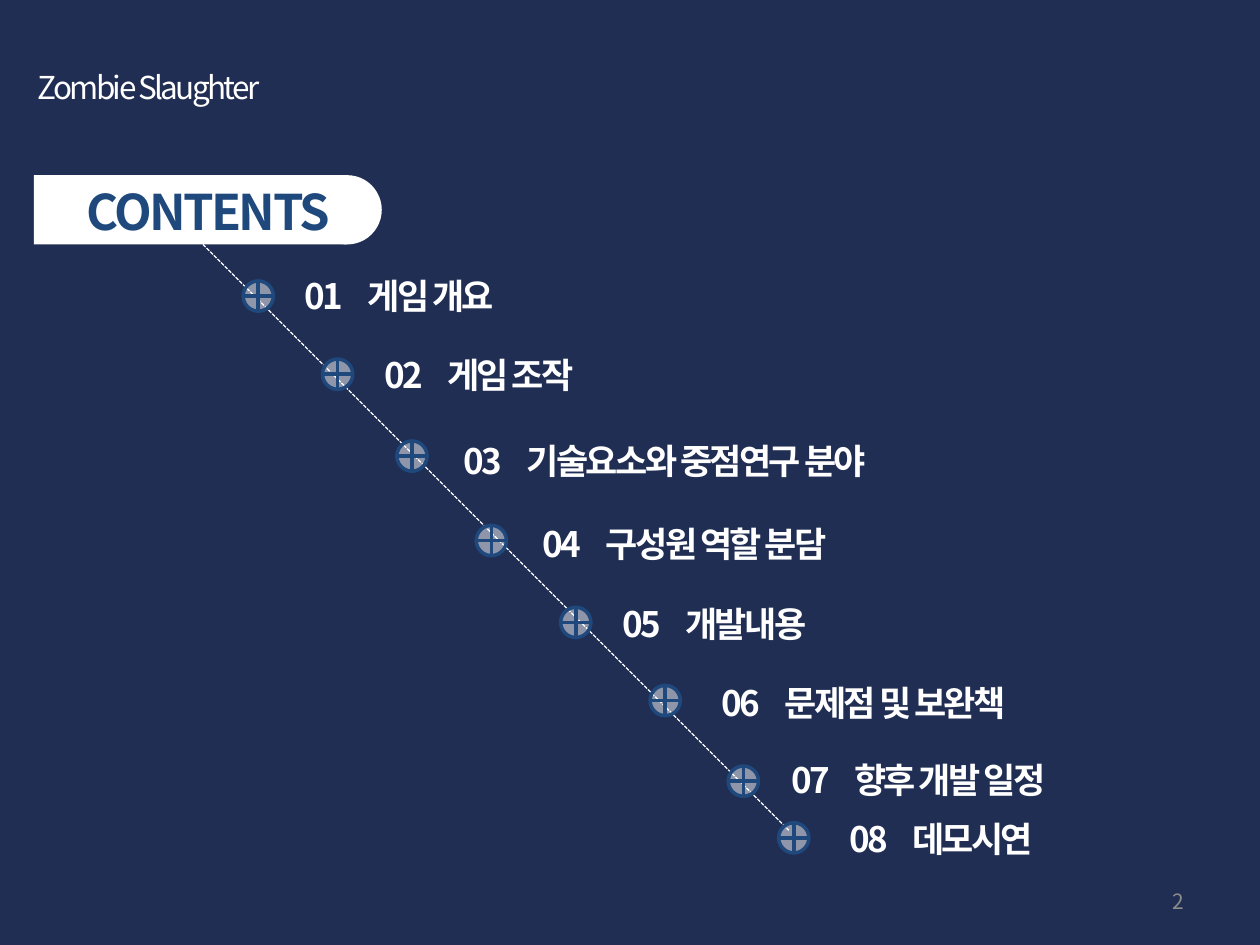
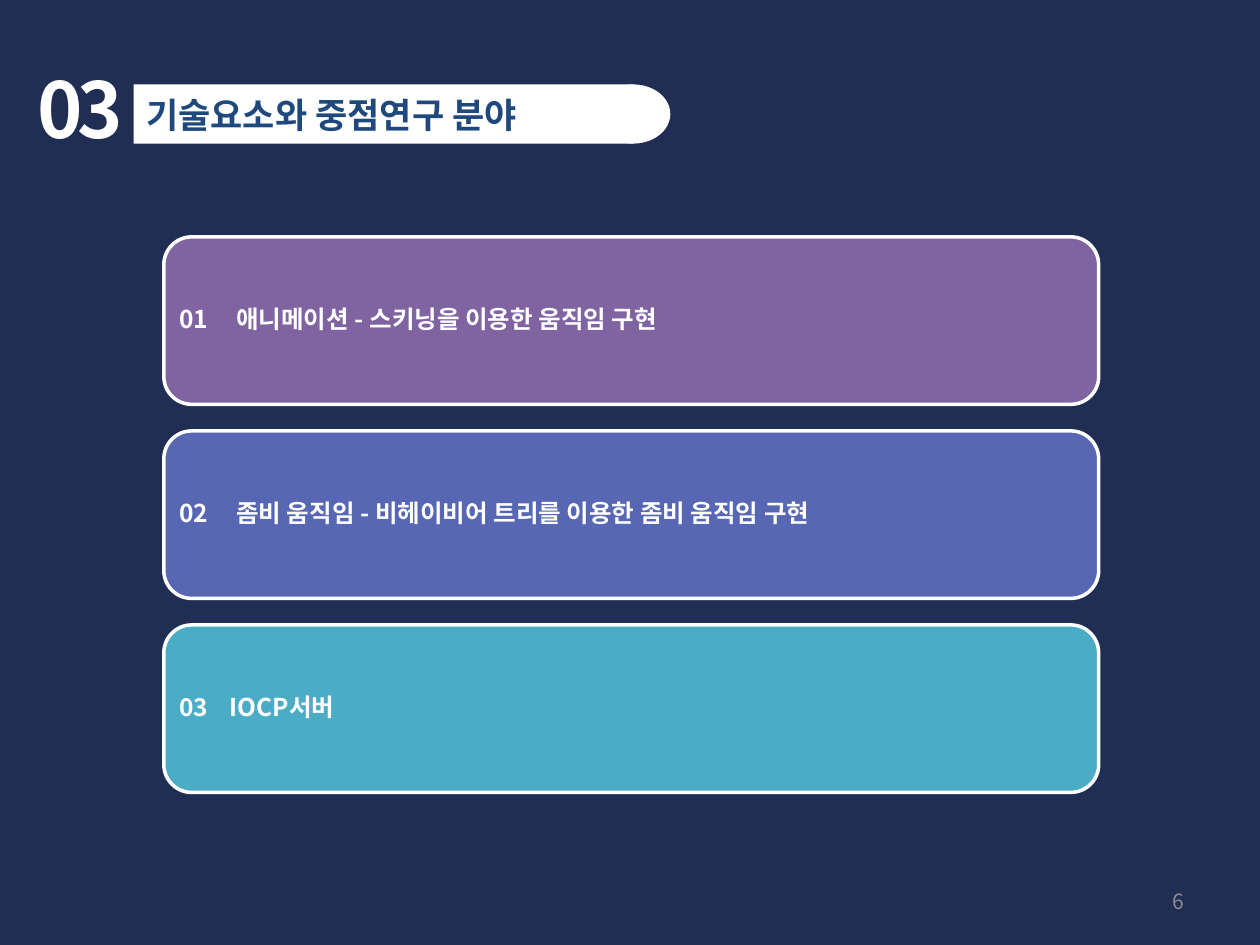
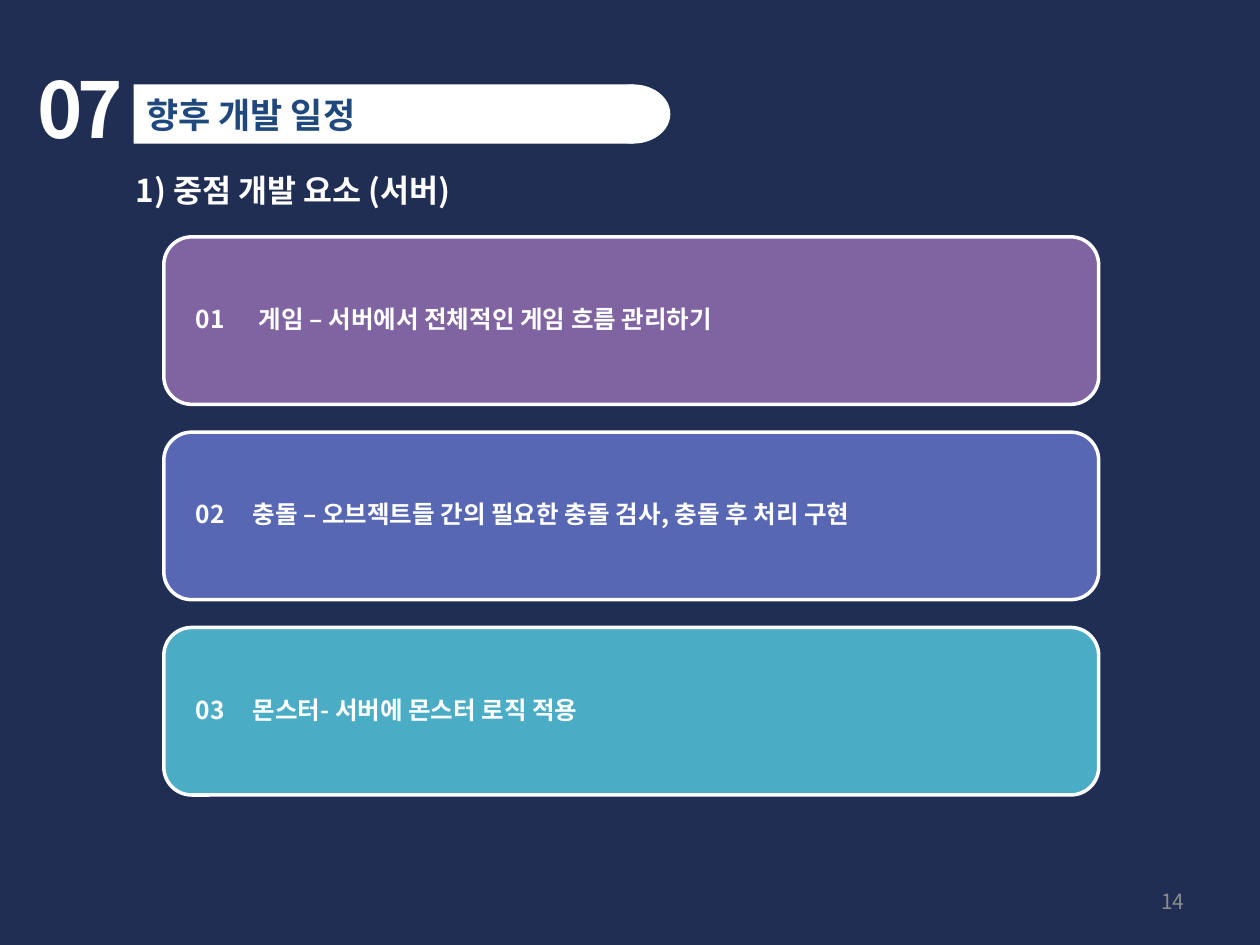
from lxml.etree import SubElement
from pptx import Presentation
from pptx.dml.color import RGBColor
from pptx.enum.dml import MSO_LINE
from pptx.enum.shapes import MSO_CONNECTOR, MSO_SHAPE
from pptx.enum.text import MSO_ANCHOR, MSO_AUTO_SIZE, PP_ALIGN
from pptx.oxml.ns import qn
from pptx.util import Inches, Pt

FONT = "Noto Sans CJK KR"
NAVY, BLUE, WHITE, GREY = "212E53", "1F497D", "FFFFFF", "8C8C8C"
CARD_COLORS = ("8064A2", "5767B4", "4BACC6")
TITLE_ONLY = 5
CARD_AREA = (1.3, 1.88, 7.42, 1.33)

# label, marker left and top, label left and top
CONTENTS = [
    ("게임 개요", (1.93, 2.23), (2.32, 2.13)),
    ("게임 조작", (2.56, 2.85), (2.95, 2.76)),
    ("기술요소와 중점연구 분야", (3.15, 3.5), (3.58, 3.44)),
    ("구성원 역할 분담", (3.78, 4.17), (4.21, 4.1)),
    ("개발내용", (4.45, 4.82), (4.84, 4.73)),
    ("문제점 및 보완책", (5.16, 5.44), (5.63, 5.36)),
    ("향후 개발 일정", (5.78, 6.08), (6.18, 5.97)),
    ("데모시연", (6.18, 6.53), (6.64, 6.44)),
]


def rgb(color):
    """Turn a hex string into a colour."""
    return RGBColor.from_string(color)


def inches(box):
    """Turn plain numbers into lengths."""
    return [Inches(number) for number in box]


def write(shape, text, size=20, color=WHITE, bold=True, spacing=0,
          align=PP_ALIGN.LEFT, anchor=MSO_ANCHOR.TOP, wrap=True,
          insets=(0.1, 0.05), indent=0, hanging=0, line_spacing=None,
          space_after=None):
    """Put one formatted paragraph into a shape; a tab reaches the hanging indent."""
    frame = shape.text_frame
    frame.auto_size = MSO_AUTO_SIZE.NONE
    frame.word_wrap = wrap
    frame.vertical_anchor = anchor
    frame.margin_left = frame.margin_right = Inches(insets[0])
    frame.margin_top = frame.margin_bottom = Inches(insets[1])
    paragraph = frame.paragraphs[0]
    paragraph.alignment = align
    paragraph.line_spacing = line_spacing
    paragraph.space_after = space_after
    if indent or hanging:
        properties = paragraph._p.get_or_add_pPr()
        properties.set("marL", str(Inches(indent + hanging)))
        properties.set("indent", str(-Inches(hanging)))
    run = paragraph.add_run()
    run.text = text
    run.font.name = FONT
    run.font.size = Pt(size)
    run.font.bold = bold
    run.font.color.rgb = rgb(color)
    characters = run._r.get_or_add_rPr()
    SubElement(characters, qn("a:ea"), typeface=FONT)
    if spacing:
        characters.set("spc", str(round(spacing * 100)))


def add_text(slide, box, text, **formats):
    """Add a text box."""
    write(slide.shapes.add_textbox(*inches(box)), text, **formats)


def add_block(shapes, preset, box, fill, line=None):
    """Add a flat preset shape with an optional 2 pt outline."""
    block = shapes.add_shape(preset, *inches(box))
    block.shadow.inherit = False
    block.fill.solid()
    block.fill.fore_color.rgb = rgb(fill)
    if line:
        block.line.color.rgb = rgb(line)
        block.line.width = Pt(2)
    else:
        block.line.fill.background()
    return block


def add_title(slide, box, cap_width, title_box, text, **formats):
    """Draw the white bar with a round right end and lay the title on it."""
    left, top, width, height = box
    bar = slide.shapes.add_group_shape().shapes
    add_block(bar, MSO_SHAPE.RECTANGLE,
              (left, top, width - cap_width / 2, height), WHITE)
    add_block(bar, MSO_SHAPE.OVAL,
              (left + width - cap_width, top, cap_width, height), WHITE)
    title = slide.shapes.title
    title.left, title.top, title.width, title.height = inches(title_box)
    write(title, text, color=BLUE, **formats)
    slide.shapes._spTree.append(title._element)


def add_page_number(slide, number):
    """Write the page number at the bottom right."""
    add_text(slide, (7.17, 6.95, 2.33, 0.4), str(number), size=12, color=GREY,
             bold=False, align=PP_ALIGN.RIGHT, anchor=MSO_ANCHOR.MIDDLE)


def add_marker(slide, left, top):
    """Draw a half-transparent crossed circle."""
    marker = add_block(slide.shapes, MSO_SHAPE.FLOWCHART_OR,
                       (left, top, 0.24, 0.24), WHITE, BLUE)
    fill_color = marker._element.spPr.find(qn("a:solidFill"))[0]
    SubElement(fill_color, qn("a:alpha"), val="50000")


def add_trail(slide, start, end):
    """Draw the dashed diagonal that links the markers."""
    trail = slide.shapes.add_connector(MSO_CONNECTOR.STRAIGHT,
                                       *inches(start + end))
    trail.line.color.rgb = rgb(WHITE)
    trail.line.width = Pt(0.75)
    trail.line.dash_style = MSO_LINE.SQUARE_DOT
    SubElement(trail._element.spPr, qn("a:effectLst"))


def add_cards(slide, box, pitch, entries, indent=0):
    """Stack numbered cards downward; box is the first card."""
    left, top, width, height = box
    for index, ((label, hanging), color) in enumerate(zip(entries, CARD_COLORS)):
        card = add_block(slide.shapes, MSO_SHAPE.ROUNDED_RECTANGLE,
                         (left, top + index * pitch, width, height), color, WHITE)
        write(card, f"{index + 1:02}\t{label}", size=14, insets=(0.06, 0.06),
              anchor=MSO_ANCHOR.MIDDLE, indent=indent, hanging=hanging,
              line_spacing=0.9, space_after=Pt(5))


def contents_slide(deck, page):
    """Build the contents slide."""
    slide = deck.slides.add_slide(deck.slide_layouts[TITLE_ONLY])
    add_text(slide, (0.2, 0.49, 6.77, 0.4), "Zombie Slaughter", size=18,
             bold=False, spacing=-1.5)
    add_title(slide, (0.27, 1.39, 2.76, 0.55), 0.55, (0.59, 1.39, 2.52, 0.57),
              "CONTENTS", size=28, spacing=-1.5)
    add_trail(slide, (1.61, 1.94), (6.26, 6.59))
    for number, (label, marker, place) in enumerate(CONTENTS, 1):
        add_marker(slide, *marker)
        # Labels near the right edge stay inside the slide.
        add_text(slide, (*place, min(4.1, 10 - place[0]), 0.44),
                 f"{number:02}\t{label}", spacing=-1.5, hanging=0.5)
    add_page_number(slide, page)


def section_slide(deck, page, section, pitch, entries, indent=0):
    """Build a numbered section slide with cards, titled as in the contents."""
    slide = deck.slides.add_slide(deck.slide_layouts[TITLE_ONLY])
    add_text(slide, (0.2, 0.44, 1.1, 0.84), f"{section:02}", size=44, spacing=-3)
    add_title(slide, (1.06, 0.67, 4.26, 0.47), 0.59, (1.06, 0.69, 3.92, 0.44),
              CONTENTS[section - 1][0])
    add_cards(slide, CARD_AREA, pitch, entries, indent)
    add_page_number(slide, page)
    return slide


def main():
    """Build the deck."""
    deck = Presentation()
    deck.slide_width, deck.slide_height = Inches(10), Inches(7.5)
    backdrop = deck.slide_master.background.fill
    backdrop.solid()
    backdrop.fore_color.rgb = rgb(NAVY)

    contents_slide(deck, 2)
    section_slide(deck, 6, 3, 1.54, [
        ("애니메이션 - 스키닝을 이용한 움직임 구현", 0.45),
        ("좀비 움직임 - 비헤이비어 트리를 이용한 좀비 움직임 구현", 0.45),
        ("IOCP서버", 0.4),
    ])
    schedule = section_slide(deck, 14, 7, 1.55, [
        ("게임 – 서버에서 전체적인 게임 흐름 관리하기", 0.5),
        ("충돌 – 오브젝트들 간의 필요한 충돌 검사, 충돌 후 처리 구현", 0.45),
        ("몬스터- 서버에 몬스터 로직 적용", 0.45),
    ], indent=0.13)
    add_text(schedule, (0.98, 1.31, 3, 0.4), "1) 중점 개발 요소 (서버)",
             size=18, wrap=False)
    deck.save("out.pptx")


main()
